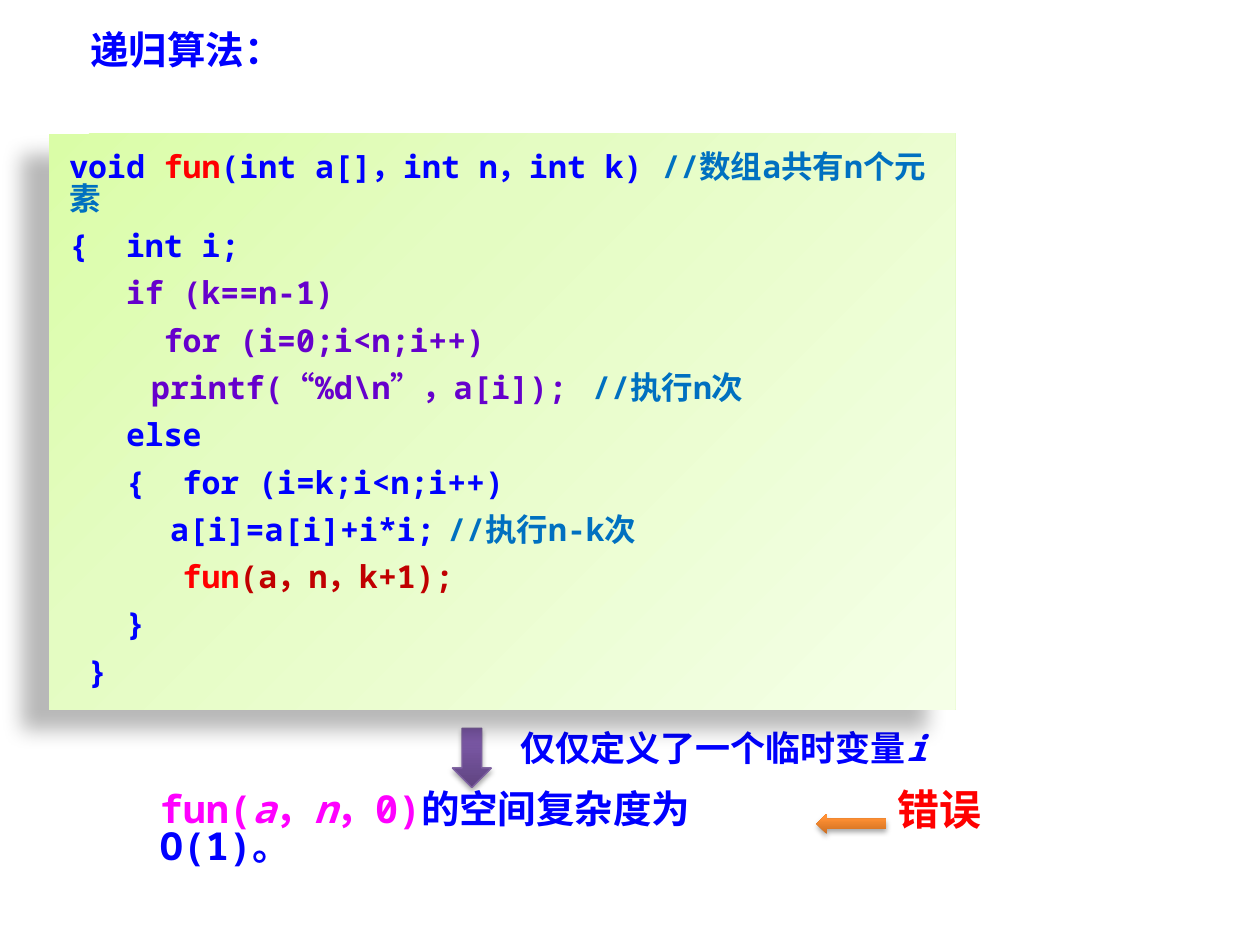
"""Build a slide that checks the space complexity of a recursive algorithm."""
from lxml import etree
from pptx import Presentation, util as u
from pptx.dml.color import RGBColor
from pptx.enum import shapes, text
from pptx.oxml.ns import qn

WIDTH, HEIGHT = 10, 7.5
MONO, SANS, SERIF = "Noto Sans Mono", "Noto Sans CJK SC", "Times New Roman"
BLUE, RED, PURPLE, NOTE = "0000FF", "FF0000", "6600CC", "0070C0"
CRIMSON, PINK = "C00000", "FF00FF"

CODE = [
    [("void ", BLUE), ("fun", RED), ("(int a[]，int n，int k) ", BLUE),
     ("//数组a共有n个元素", NOTE)],
    [("{  int i;", BLUE)],
    [("   if (k==n-1)", PURPLE)],
    [("     for (i=0;i<n;i++)", PURPLE)],
    [("\t printf(“%d\\n”，a[i]);\t ", PURPLE), ("//执行n次", NOTE)],
    [("   else", BLUE)],
    [("   {  for (i=k;i<n;i++)", BLUE)],
    [("\t  a[i]=a[i]+i*i;\t", BLUE), ("//执行n-k次", NOTE)],
    [("      ", CRIMSON), ("fun", RED), ("(a，n，k+1);", CRIMSON)],
    [("   }", BLUE)],
    [(" }", BLUE)],
]
TITLE = [("递归算法：", BLUE)]
VERDICT = [("错误", RED)]
CLAIM = [("fun(", PINK), ("a", PINK, True), ("，", PINK), ("n", PINK, True),
         ("，0)", PINK), ("的空间复杂度为O(1)。", BLUE)]
REASON = [("仅仅定义了一个临时变量", BLUE), ("i", BLUE, True)]

ORANGE_STOPS = [(0, "CC6E20"), (80, "FF9034"), (100, "FF9136")]
VIOLET_STOPS = [(0, "5F4480"), (80, "7B58A6"), (100, "7C57A8")]
GREEN_STOPS = [(0, "DAFDA7"), (35, "E4FCC2"), (100, "F5FFE7")]
SMALL_SHADOW = (35, 3.1, 1.8, 90)
PANEL_SHADOW = (28, 11.8, 19.7, 141)


def color(value):
    return RGBColor.from_string(value)


def place(left, top, width, height):
    """Turn percentages of the slide into lengths."""
    return [u.Inches(share * side / 100) for share, side in
            zip((left, top, width, height), (WIDTH, HEIGHT) * 2)]


def element(parent, tag, **attributes):
    return etree.SubElement(parent, qn(tag), {k: str(v) for k, v in attributes.items()})


def add_figure(page, kind, area, stops, angle, shadow, outline=None):
    """Add a preset shape with a gradient fill and an outer shadow."""
    figure = page.shapes.add_shape(kind, *place(*area))
    if outline:
        figure.line.color.rgb = color(outline)
        figure.line.width = u.Pt(0.75)
    else:
        figure.line.fill.background()
    figure.shadow.inherit = False
    properties = figure.fill._xPr
    gradient = etree.Element(qn("a:gradFill"), rotWithShape="1")
    stop_list = element(gradient, "a:gsLst")
    for position, value in stops:
        stop = element(stop_list, "a:gs", pos=position * 1000)
        element(stop, "a:srgbClr", val=value)
    element(gradient, "a:lin", ang=angle * 60000, scaled=0)
    properties.find(qn("a:prstGeom")).addnext(gradient)
    alpha, blur, distance, direction = shadow
    cast = element(properties.find(qn("a:effectLst")), "a:outerShdw",
                   blurRad=u.Pt(blur), dist=u.Pt(distance),
                   dir=direction * 60000, rotWithShape=0)
    element(element(cast, "a:srgbClr", val="000000"), "a:alpha", val=alpha * 1000)
    return figure


def write(box, lines, size, font, align, spacing):
    """Fill a shape with paragraphs of coloured bold spans."""
    frame = box.text_frame
    frame.word_wrap = True
    frame.vertical_anchor = text.MSO_ANCHOR.TOP
    frame.auto_size = text.MSO_AUTO_SIZE.SHAPE_TO_FIT_TEXT
    for index, line in enumerate(lines):
        para = frame.add_paragraph() if index else frame.paragraphs[0]
        para.alignment = align
        para.line_spacing = spacing
        para.space_before = u.Pt(size / 2 if index else 0)
        for words, value, *italic in line:
            span = para.add_run()
            span.text = words
            span.font.size, span.font.name = u.Pt(size), font
            span.font.bold, span.font.italic = True, bool(italic)
            span.font.color.rgb = color(value)
            element(span.font._element, "a:ea", typeface=SANS)


def add_label(page, area, line, size, font, align):
    write(page.shapes.add_textbox(*place(*area)), [line], size, font, align, 0.8)


def main():
    deck = Presentation()
    deck.slide_width, deck.slide_height = u.Inches(WIDTH), u.Inches(HEIGHT)
    page = deck.slides.add_slide(deck.slide_layouts[6])
    kinds, align = shapes.MSO_SHAPE, text.PP_ALIGN

    add_label(page, (6.2, 3.07, 23.4, 6.4), TITLE, 22, SERIF, align.JUSTIFY)
    add_figure(page, kinds.LEFT_ARROW, (64.8, 86.13, 5.5, 2.13),
               ORANGE_STOPS, 270, SMALL_SHADOW)
    add_label(page, (69.5, 83.33, 10.2, 7.33), VERDICT, 24, SANS, align.CENTER)
    add_label(page, (11.7, 83.33, 51.6, 6.4), CLAIM, 22, MONO, align.LEFT)
    add_figure(page, kinds.DOWN_ARROW, (35.9, 77.07, 3.1, 6.27),
               VIOLET_STOPS, 270, SMALL_SHADOW, "7D60A0")
    add_label(page, (39.1, 77.07, 36.7, 6), REASON, 20, MONO, align.CENTER)

    panel = add_figure(page, kinds.RECTANGLE, (3.9, 14.13, 71.9, 60.93),
                       GREEN_STOPS, 45, PANEL_SHADOW)
    frame = panel.text_frame
    frame.margin_left = frame.margin_top = u.Inches(0.16)
    frame.margin_right, frame.margin_bottom = u.Inches(0.1), u.Inches(0.12)
    write(panel, CODE, 18, MONO, align.LEFT, u.Pt(18))
    deck.save("out.pptx")


if __name__ == "__main__":
    main()
